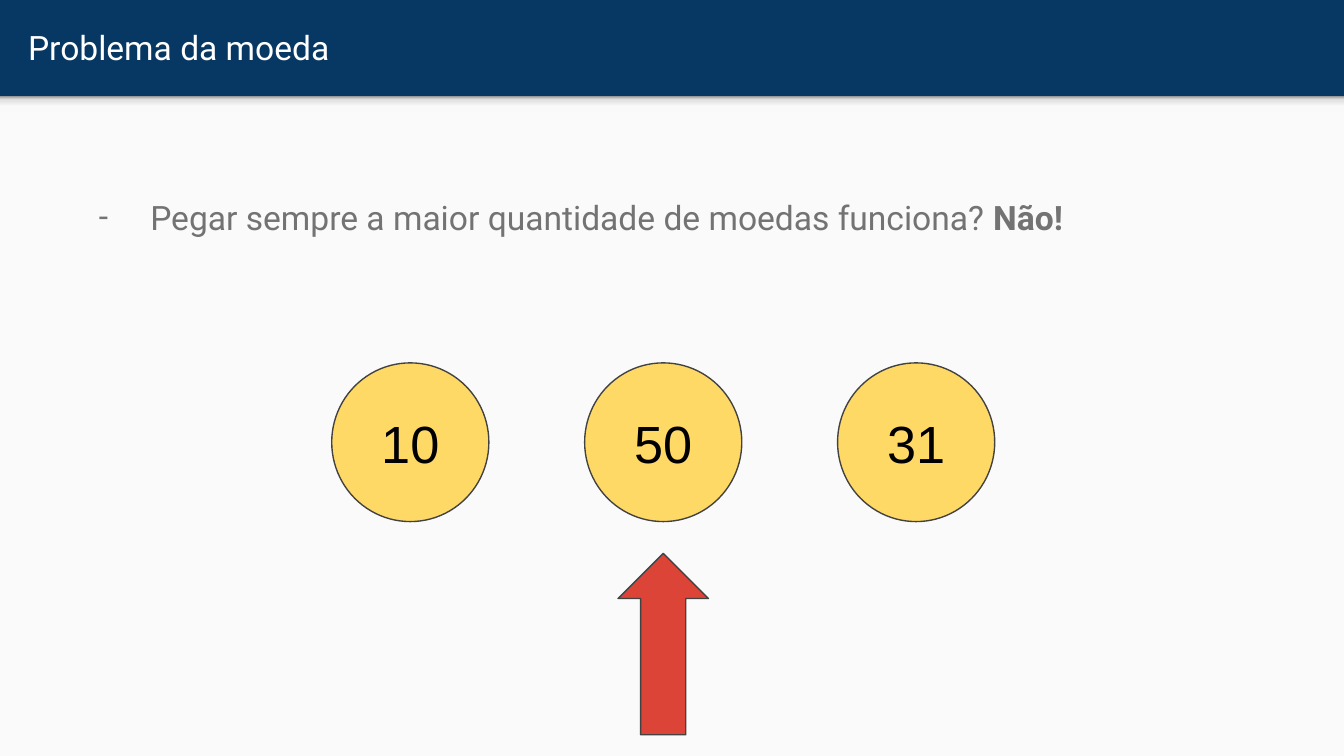
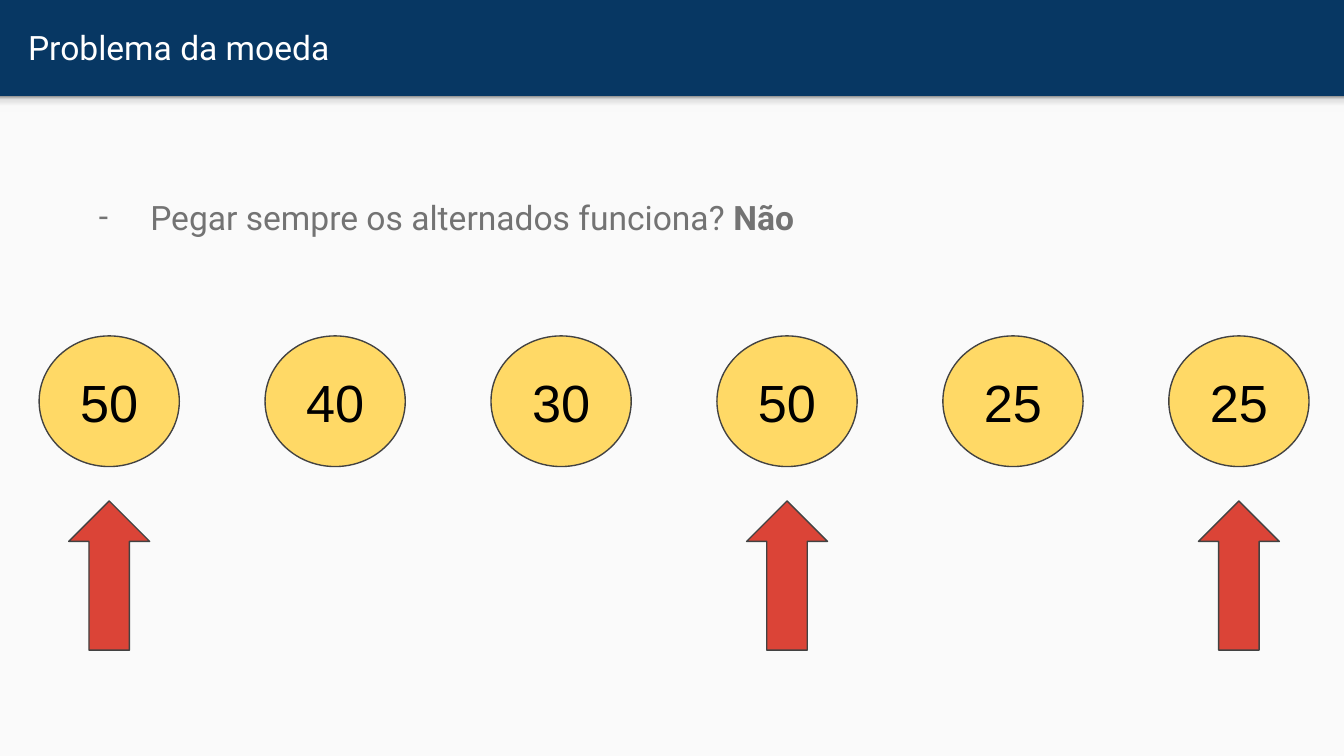
import pptx
import pptx.util
import pptx.dml.color
import pptx.enum.shapes
import pptx.enum.text
import pptx.oxml.ns
from lxml import etree

Cm, Pt = pptx.util.Cm, pptx.util.Pt
SHAPE = pptx.enum.shapes.MSO_SHAPE
ANCHOR = pptx.enum.text.MSO_ANCHOR
ALIGN = pptx.enum.text.PP_ALIGN
qn = pptx.oxml.ns.qn

NAVY, PAPER, GREY, WHITE, BLACK = "073763", "FAFAFA", "737373", "FFFFFF", "000000"
GOLD, RED, OUTLINE = "FFD966", "DB4437", "424242"


def paint(fmt, color):
    """Give a fill, a line's fill or a font's fill a solid hex colour."""
    fmt.solid()
    fmt.fore_color.rgb = pptx.dml.color.RGBColor.from_string(color)


def write(tf, text, size=18, font="Roboto", color=GREY, bold=False,
          align=ALIGN.LEFT, anchor=ANCHOR.TOP):
    """Add a run to the first paragraph of a text frame."""
    tf.word_wrap = True
    tf.auto_size = pptx.enum.text.MSO_AUTO_SIZE.NONE
    tf.vertical_anchor = anchor
    tf.margin_left = tf.margin_right = tf.margin_top = tf.margin_bottom = Cm(0.25)
    p = tf.paragraphs[0]
    p.alignment = align
    r = p.add_run()
    r.text = text
    r.font.size, r.font.name, r.font.bold = Pt(size), font, bold
    paint(r.font.fill, color)


prs = pptx.Presentation()
prs.slide_width, prs.slide_height = Cm(25.4), Cm(14.29)
layout = prs.slide_layouts[1]
band = 1.82  # height of the title band

# Each row of coins: size, first left, top and pitch; arrows: size, top, marked coins
slides = [
    dict(question="Pegar sempre a maior quantidade de moedas funciona? ", answer="Não!",
         coins=[10, 50, 31], w=2.97, h=3, left=6.27, top=6.86, pitch=4.78,
         arrow_w=1.71, arrow_h=3.43, arrow_top=10.46, marked=[1]),
    dict(question="Pegar sempre os alternados funciona? ", answer="Não",
         coins=[50, 40, 30, 50, 25, 25], w=2.65, h=2.47, left=0.74, top=6.35, pitch=4.27,
         arrow_w=1.53, arrow_h=2.82, arrow_top=9.47, marked=[0, 3, 5]),
]

for number, d in enumerate(slides):
    s = prs.slides.add_slide(layout)

    # Shared background, panel and band shadow, moved to the layout once
    if number == 0:
        paint(layout.background.fill, NAVY)
        panel = s.shapes.add_shape(SHAPE.RECTANGLE, 0, Cm(band), prs.slide_width,
                                   prs.slide_height - Cm(band))
        paint(panel.fill, PAPER)
        shade = s.shapes.add_shape(SHAPE.RECTANGLE, 0, Cm(band), prs.slide_width, Cm(0.3))
        shade.fill.gradient()
        shade.fill.gradient_angle = 90
        stops = shade.element.spPr.find(".//" + qn("a:gsLst"))
        stops.clear()
        for pos, color in [(0, "F9F9F9"), (36, "F9F9F9"), (80, "DEDEDE"), (100, "999999")]:
            gs = etree.SubElement(stops, qn("a:gs"), pos=str(pos * 1000))
            etree.SubElement(gs, qn("a:srgbClr"), val=color)
        for i, sp in enumerate([panel, shade]):
            sp.shadow.inherit = False
            sp.line.fill.background()
            layout.shapes.element.insert(2 + i, sp.element)

    # Title
    title = s.shapes.title
    title.left, title.top, title.width, title.height = Cm(0.28), Cm(0.05), Cm(24.5), Cm(1.68)
    write(title.text_frame, "Problema da moeda", color=WHITE, anchor=ANCHOR.MIDDLE)

    # Question with a dash bullet
    body = s.placeholders[1]
    body.left, body.top, body.width, body.height = Cm(1.32), Cm(3.35), Cm(22.83), Cm(9.5)
    tf = body.text_frame
    write(tf, d["question"])
    write(tf, d["answer"], bold=True)
    p = tf.paragraphs[0]
    p.line_spacing, p.space_before = 1.15, Pt(0)
    pPr = p.runs[0].font and p._p.get_or_add_pPr()
    pPr.set("marL", str(Cm(1.27)))
    pPr.set("indent", str(-Cm(0.97)))
    bullet_color = etree.SubElement(pPr, qn("a:buClr"))
    etree.SubElement(bullet_color, qn("a:srgbClr"), val=GREY)
    etree.SubElement(pPr, qn("a:buFont"), typeface="Roboto")
    etree.SubElement(pPr, qn("a:buChar"), char="-")

    # Coins, with an arrow centred under each marked one
    for i, value in enumerate(d["coins"]):
        x = d["left"] + i * d["pitch"]
        coin = s.shapes.add_shape(SHAPE.OVAL, Cm(x), Cm(d["top"]), Cm(d["w"]), Cm(d["h"]))
        write(coin.text_frame, str(value), size=28, font="Arial", color=BLACK,
              align=ALIGN.CENTER, anchor=ANCHOR.MIDDLE)
        drawn = [(coin, GOLD)]
        if i in d["marked"]:
            arrow = s.shapes.add_shape(SHAPE.UP_ARROW, Cm(x + (d["w"] - d["arrow_w"]) / 2),
                                       Cm(d["arrow_top"]), Cm(d["arrow_w"]), Cm(d["arrow_h"]))
            drawn.append((arrow, RED))
        for sp, color in drawn:
            sp.shadow.inherit = False
            paint(sp.fill, color)
            paint(sp.line.fill, OUTLINE)
            sp.line.width = Pt(0.75)

prs.save("out.pptx")
